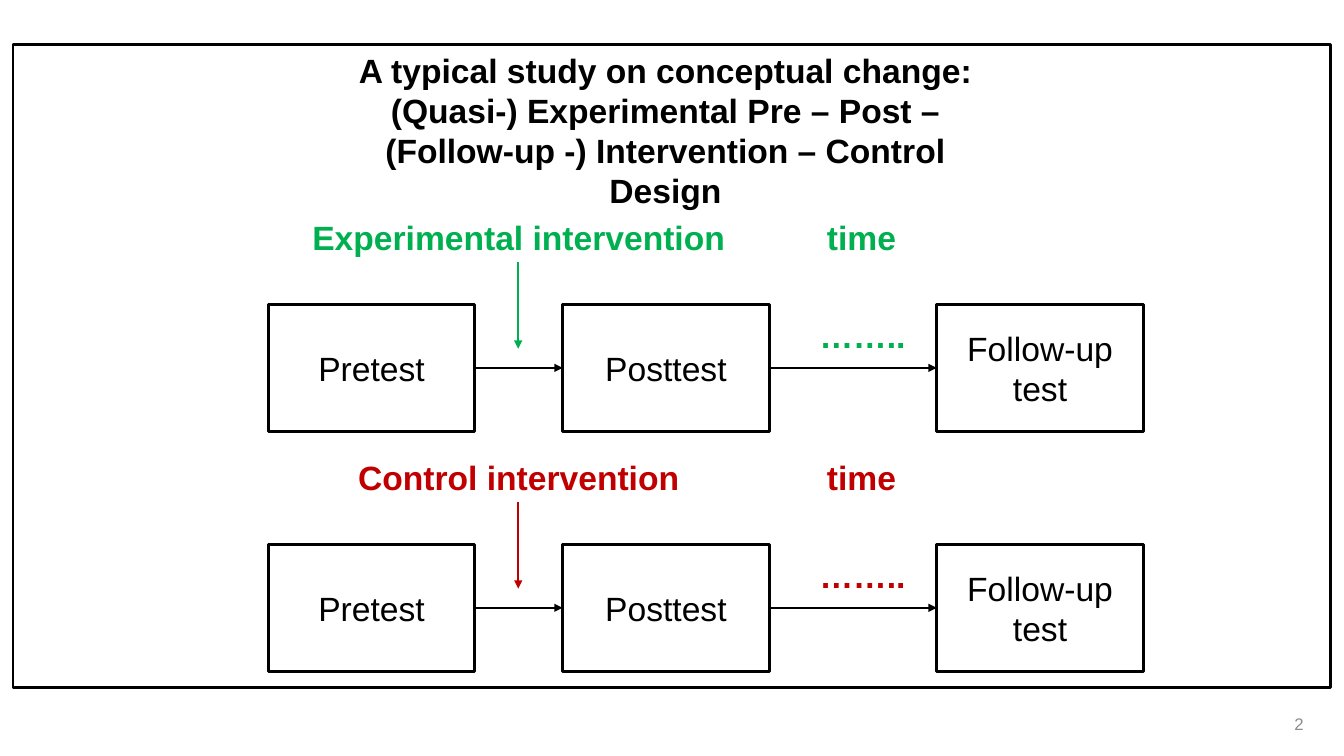
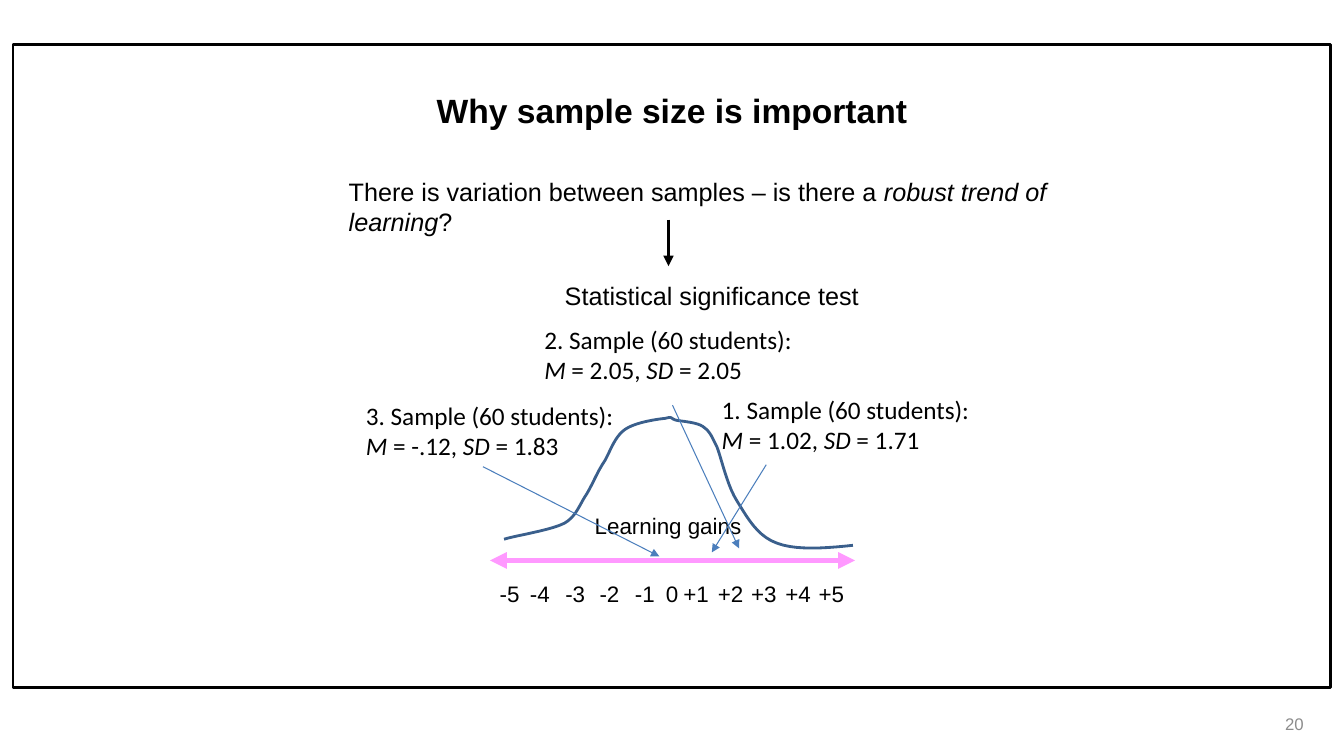
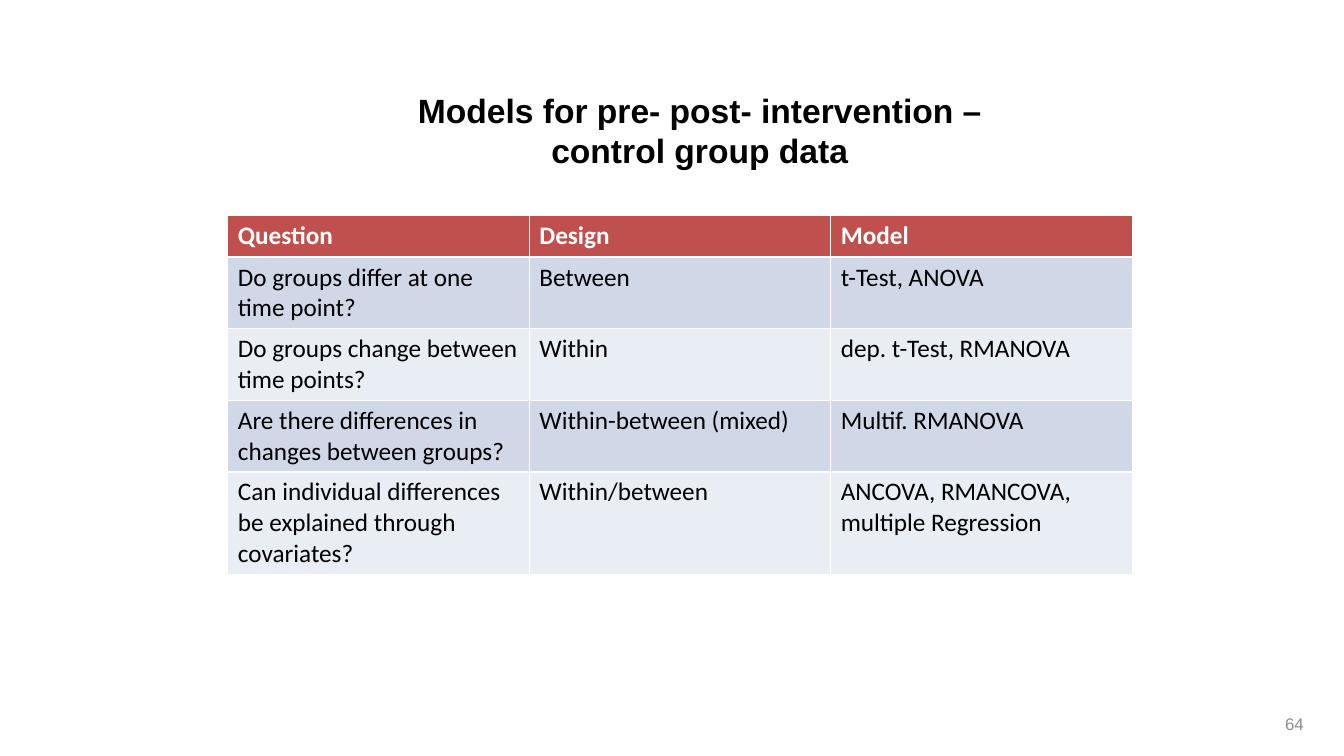
from dataclasses import dataclass

from lxml import etree
from pptx import Presentation
from pptx.dml.color import RGBColor
from pptx.enum.shapes import MSO_CONNECTOR, MSO_SHAPE
from pptx.enum.text import MSO_ANCHOR, MSO_AUTO_SIZE, PP_ALIGN
from pptx.oxml.ns import qn
from pptx.util import Inches, Pt

LEFT, CENTER, RIGHT = PP_ALIGN.LEFT, PP_ALIGN.CENTER, PP_ALIGN.RIGHT
TOP, MIDDLE = MSO_ANCHOR.TOP, MSO_ANCHOR.MIDDLE
NO_FIT = MSO_AUTO_SIZE.NONE
RECTANGLE, STRAIGHT = MSO_SHAPE.RECTANGLE, MSO_CONNECTOR.STRAIGHT
TITLE_ONLY = 5


@dataclass(frozen=True)
class Theme:
    black: str = "000000"
    white: str = "FFFFFF"
    grey: str = "8C8C8C"
    green: str = "00B050"
    red: str = "C00000"
    pink: str = "FF99FF"
    curve: str = "3A5F8C"
    pointer: str = "4B7EBC"
    header: str = "C0504D"
    bands: tuple = ("D0D8E8", "E9EDF4")
    sans: str = "Arial"
    humanist: str = "Calibri"
    large: int = 24
    body: int = 18
    axis: int = 16
    small: int = 12


THEME = Theme()


class Deck:
    """Holds the presentation, its style and the current slide."""

    def __init__(self):
        self.presentation = Presentation()
        self.presentation.slide_width = Inches(13.33)
        self.presentation.slide_height = Inches(7.5)
        self.slide = None

    def new_slide(self, number, title, box):
        layout = self.presentation.slide_layouts[TITLE_ONLY]
        self.slide = self.presentation.slides.add_slide(layout)
        heading = self.slide.shapes.title
        heading.left, heading.top, heading.width, heading.height = map(Inches, box)
        self.fill_text(heading.text_frame, title, align=CENTER, bold=True)
        self.text((9.92, 6.98, 3.11, 0.4), [str(number)], size=THEME.small,
                  color=THEME.grey, align=RIGHT, anchor=MIDDLE)

    def fill_text(self, frame, paragraphs, size=THEME.large, font=THEME.sans,
                  color=THEME.black, bold=False, align=LEFT, anchor=TOP):
        """Each paragraph is a string or a list of (text, italic) runs."""
        frame_format = {"word_wrap": True, "auto_size": NO_FIT, "vertical_anchor": anchor}
        for name, value in frame_format.items():
            setattr(frame, name, value)
        run_format = {"size": Pt(size), "name": font, "bold": bold}
        for index, content in enumerate(paragraphs):
            paragraph = frame.add_paragraph() if index else frame.paragraphs[0]
            paragraph.alignment = align
            runs = [(content, False)] if isinstance(content, str) else content
            for words, italic in runs:
                run = paragraph.add_run()
                run.text = words
                for name, value in {**run_format, "italic": italic}.items():
                    setattr(run.font, name, value)
                run.font.color.rgb = RGBColor.from_string(color)

    def text(self, box, paragraphs, **style):
        area = self.slide.shapes.add_textbox(*map(Inches, box))
        self.fill_text(area.text_frame, paragraphs, **style)

    def stroke(self, line, color, width):
        line.color.rgb = RGBColor.from_string(color)
        line.width = Pt(width)

    def outline(self, shape, color):
        shape.shadow.inherit = False
        shape.fill.background()
        self.stroke(shape.line, color, 2)

    def box(self, box, label=None):
        rectangle = self.slide.shapes.add_shape(RECTANGLE, *map(Inches, box))
        self.outline(rectangle, THEME.black)
        if label:
            self.fill_text(rectangle.text_frame, [label], align=CENTER, anchor=MIDDLE)

    def frame(self):
        self.box((0.13, 0.44, 13.07, 6.38))

    def arrow(self, start, end, color=THEME.black, width=1.5, ends=("tailEnd",)):
        connector = self.slide.shapes.add_connector(STRAIGHT, *map(Inches, (*start, *end)))
        self.stroke(connector.line, color, width)
        properties = connector._element.spPr
        line = properties.find(qn("a:ln"))
        for end_name in ends:
            etree.SubElement(line, qn(f"a:{end_name}"), type="triangle")
        etree.SubElement(properties, qn("a:effectLst"))

    def curve(self, start, segments, color, steps=10):
        """Draws cubic segments, each two control points and an end point."""
        points, origin = [], start
        for control_1, control_2, end in segments:
            for step in range(1, steps + 1):
                t = step / steps
                weights = ((1 - t) ** 3, 3 * t * (1 - t) ** 2, 3 * t ** 2 * (1 - t), t ** 3)
                anchors = (origin, control_1, control_2, end)
                points.append(tuple(
                    Inches(sum(w * a[axis] for w, a in zip(weights, anchors)))
                    for axis in (0, 1)))
            origin = end
        builder = self.slide.shapes.build_freeform(*map(Inches, start))
        builder.add_line_segments(points, close=False)
        self.outline(builder.convert_to_shape(), color)

    def table(self, left, top, column_width, row_height, rows):
        columns = len(rows[0])
        grid = self.slide.shapes.add_table(
            len(rows), columns, Inches(left), Inches(top),
            Inches(column_width * columns), Inches(row_height * len(rows))).table
        for row_index, row in enumerate(rows):
            is_header = row_index == 0
            fill = THEME.header if is_header else THEME.bands[(row_index - 1) % 2]
            for column_index, words in enumerate(row):
                cell = grid.cell(row_index, column_index)
                cell.fill.solid()
                cell.fill.fore_color.rgb = RGBColor.from_string(fill)
                self.fill_text(cell.text_frame, [words], size=THEME.body,
                               font=THEME.humanist, bold=is_header,
                               color=THEME.white if is_header else THEME.black)


def study_design(deck):
    deck.new_slide(2, [
        "A typical study on conceptual change:",
        "(Quasi-) Experimental Pre – Post – (Follow-up -) Intervention – Control Design",
    ], (3.33, 0.44, 6.54, 1.72))
    groups = (("Experimental intervention", THEME.green, 2.1),
              ("Control intervention", THEME.red, 4.48))
    tests = (("Pretest", 2.66), ("Posttest", 5.58), ("Follow-up test", 9.29))
    test_width, test_height = 2.05, 1.26
    for intervention, color, top in groups:
        # Tests and the arrows between them
        test_top = top + 0.92
        middle = test_top + test_height / 2
        for test, left in tests:
            deck.box((left, test_top, test_width, test_height), test)
        for (_, left), (_, next_left) in zip(tests, tests[1:]):
            deck.arrow((left + test_width, middle), (next_left, middle))
        # Intervention and waiting time
        labels = ((intervention, 2.23, top), ("time", 5.63, top), ("……..", 5.64, top + 0.98))
        for label, left, label_top in labels:
            deck.text((left, label_top, 5.83, 0.5), [label], color=color,
                      bold=True, align=CENTER)
        deck.arrow((5.14, top + 0.5), (5.14, top + 1.36), color)
    deck.frame()


def sample_size(deck):
    deck.new_slide(20, ["Why sample size is important"], (3.75, 0.84, 5.83, 0.5))

    # Distribution over the axis of learning gains
    deck.curve((8.46, 5.41), (
        ((8.18, 5.44), (7.9, 5.46), (7.71, 5.39)),
        ((7.51, 5.32), (7.41, 5.13), (7.31, 4.97)),
        ((7.21, 4.81), (7.16, 4.56), (7.11, 4.43)),
        ((7.05, 4.31), (7.04, 4.28), (6.97, 4.23)),
        ((6.91, 4.19), (6.77, 4.18), (6.71, 4.17)),
        ((6.64, 4.15), (6.68, 4.13), (6.6, 4.15)),
        ((6.51, 4.16), (6.3, 4.19), (6.2, 4.26)),
        ((6.1, 4.33), (6.06, 4.46), (6, 4.57)),
        ((5.93, 4.67), (5.88, 4.8), (5.82, 4.9)),
        ((5.75, 5), (5.72, 5.12), (5.6, 5.19)),
        ((5.47, 5.26), (5.08, 5.32), (5, 5.35)),
    ), THEME.curve)
    deck.text((5.45, 5.03, 2.35, 0.37), ["Learning gains"], size=THEME.axis, align=CENTER)
    deck.arrow((4.86, 5.56), (8.48, 5.56), THEME.pink, 4, ("headEnd", "tailEnd"))
    tick_lefts = (4.7, 5, 5.35, 5.69, 6.04, 6.31, 6.55, 6.89, 7.22, 7.56, 7.89)
    for gain, left in enumerate(tick_lefts, start=-5):
        deck.text((left, 5.71, 0.71, 0.37), [f"{gain:+d}" if gain else "0"],
                  size=THEME.axis, align=CENTER)

    # Samples, each pointing to its mean
    samples = (
        (1, "1.02", "1.71", (7.06, 3.86, 3.78, 0.71), (7.6, 4.61), (7.06, 5.48)),
        (3, "-.12", "1.83", (3.53, 3.92, 2.78, 0.71), (4.79, 4.63), (6.54, 5.52)),
        (2, "2.05", "2.05", (5.3, 3.17, 2.86, 0.71), (6.67, 4.02), (7.33, 5.44)),
    )
    for number, mean, deviation, box, start, end in samples:
        deck.arrow(start, end, THEME.pointer, 0.75)
        deck.text(box, [
            f"{number}. Sample (60 students):",
            [("M", True), (f" = {mean}, ", False), ("SD", True), (f" = {deviation}", False)],
        ], size=THEME.body, font=THEME.humanist)

    # Question and the test that answers it
    deck.text((3.36, 1.7, 7.32, 0.71), [[
        ("There is variation between samples – is there a ", False),
        ("robust trend of learning", True), ("?", False),
    ]], size=THEME.body)
    deck.text((3.4, 2.73, 7.32, 0.4), ["Statistical significance test"],
              size=THEME.body, align=CENTER)
    deck.arrow((6.63, 2.18), (6.63, 2.64), width=2.5)
    deck.frame()


def models(deck):
    deck.new_slide(64, ["Models for pre- post- intervention – control group data"],
                   (3.67, 0.84, 6.54, 0.91))
    deck.table(2.26, 2.14, 2.99, 0.41, (
        ("Question", "Design", "Model"),
        ("Do groups differ at one time point?", "Between", "t-Test, ANOVA"),
        ("Do groups change between time points?", "Within", "dep. t-Test, RMANOVA"),
        ("Are there differences in changes between groups?", "Within-between (mixed)",
         "Multif. RMANOVA"),
        ("Can individual differences be explained through covariates?", "Within/between",
         "ANCOVA, RMANCOVA, multiple Regression"),
    ))


def main():
    deck = Deck()
    for build in (study_design, sample_size, models):
        build(deck)
    deck.presentation.save("out.pptx")


if __name__ == "__main__":
    main()
